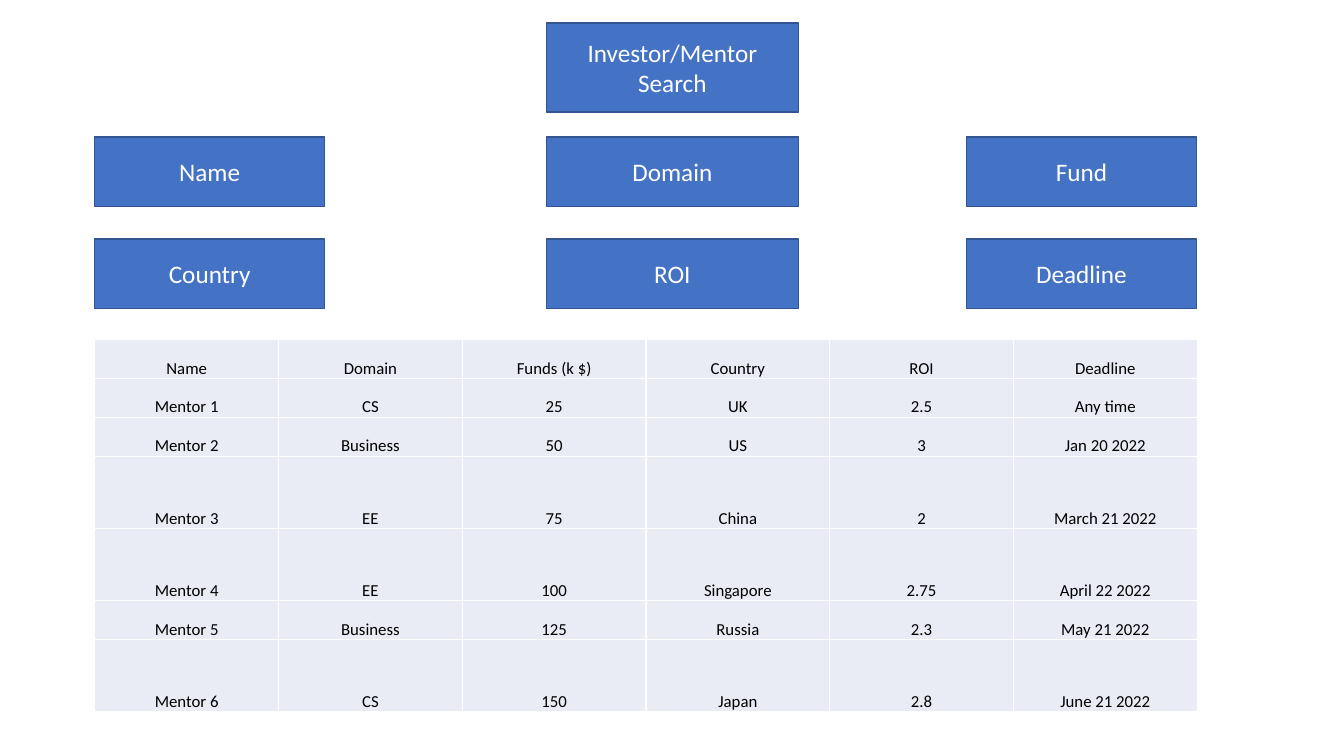
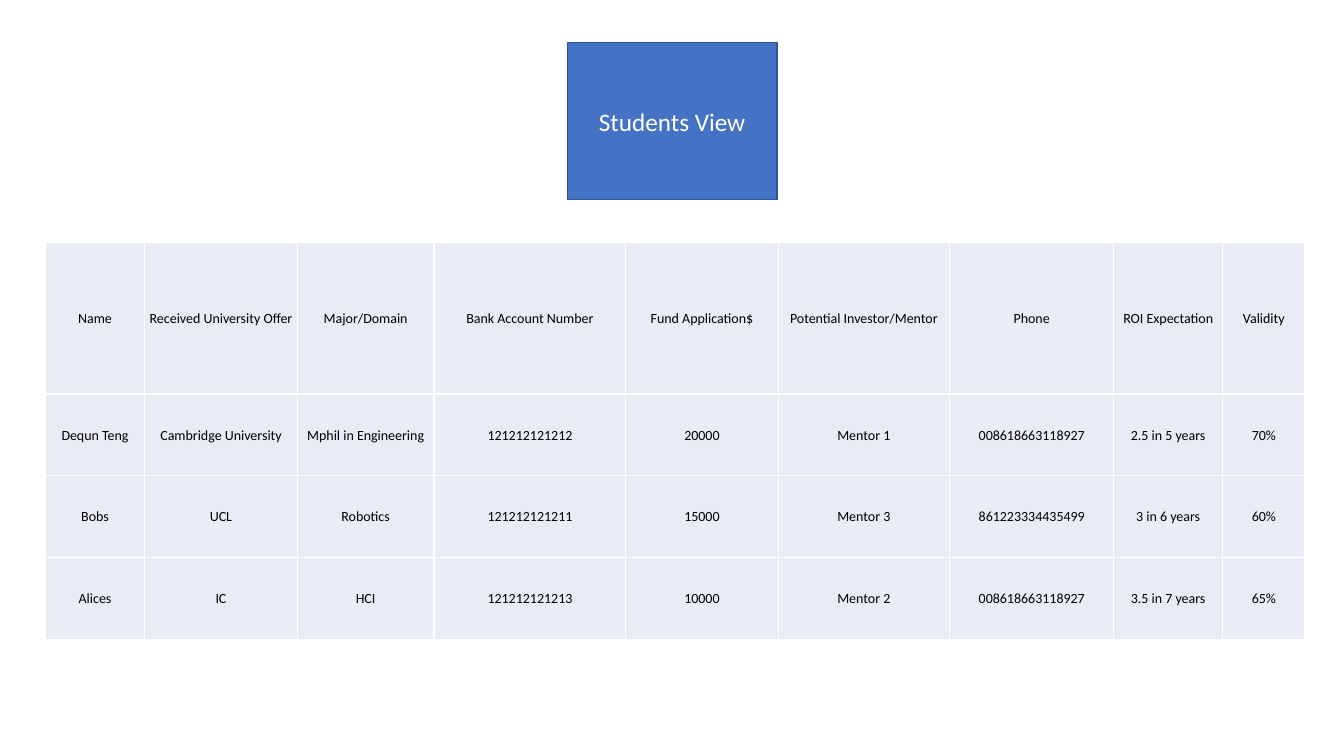
from dataclasses import dataclass
from itertools import product

from lxml import etree
from pptx import Presentation
from pptx import util as u
from pptx.dml.color import RGBColor
from pptx.enum import shapes, text
from pptx.oxml import ns

BLUE = RGBColor(0x44, 0x72, 0xC4)
NAVY = RGBColor(0x32, 0x54, 0x91)
PALE = RGBColor(0xE9, 0xEB, 0xF5)
WHITE = RGBColor(0xFF, 0xFF, 0xFF)
BLACK = RGBColor(0x00, 0x00, 0x00)
FONT = "Calibri"
MIDDLE = text.MSO_ANCHOR.MIDDLE
BOTTOM = text.MSO_ANCHOR.BOTTOM
TITLE_ONLY = 5


@dataclass
class Box:
    """A blue label; lengths in centimetres."""
    label: str
    left: float
    top: float
    width: float
    height: float


@dataclass
class Grid:
    """A pale table; lengths in centimetres, text size in points."""
    left: float
    top: float
    cols: list[float]
    rows: list[float]
    cells: list[list[str]]
    size: int
    anchor: text.MSO_ANCHOR


def write(frame, words: str, size: int, color: RGBColor) -> None:
    """Put centred words in a text frame."""
    frame.text = words
    for para in frame.paragraphs:
        para.alignment = text.PP_ALIGN.CENTER
        for run in para.runs:
            run.font.name = FONT
            run.font.size = u.Pt(size)
            run.font.color.rgb = color


def style(shape, box: Box) -> None:
    """Place a shape and give it the blue label look."""
    shape.left, shape.top = u.Cm(box.left), u.Cm(box.top)
    shape.width, shape.height = u.Cm(box.width), u.Cm(box.height)
    shape.fill.solid()
    shape.fill.fore_color.rgb = BLUE
    shape.line.color.rgb = NAVY
    shape.line.width = u.Pt(1)
    frame = shape.text_frame
    frame.word_wrap = True
    frame.auto_size = text.MSO_AUTO_SIZE.NONE
    frame.vertical_anchor = MIDDLE
    write(frame, box.label, 18, WHITE)


def add_page(deck, title: Box):
    """Add a slide whose title is a blue label."""
    slide = deck.slides.add_slide(deck.slide_layouts[TITLE_ONLY])
    style(slide.shapes.title, title)
    return slide


def add_box(slide, box: Box) -> None:
    """Draw one blue label."""
    shape = slide.shapes.add_shape(shapes.MSO_SHAPE.RECTANGLE, 0, 0, 0, 0)
    shape.shadow.inherit = False
    style(shape, box)


def add_edges(cell) -> None:
    """Give a cell thin white borders."""
    props = cell._tc.get_or_add_tcPr()
    for side in ("L", "R", "T", "B"):
        edge = etree.SubElement(props, ns.qn(f"a:ln{side}"), w=str(u.Pt(1)))
        fill = etree.SubElement(edge, ns.qn("a:solidFill"))
        etree.SubElement(fill, ns.qn("a:srgbClr"), val=str(WHITE))


def add_grid(slide, grid: Grid) -> None:
    """Draw a table."""
    table = slide.shapes.add_table(
        len(grid.rows), len(grid.cols), u.Cm(grid.left), u.Cm(grid.top),
        u.Cm(sum(grid.cols)), u.Cm(sum(grid.rows))).table
    table.first_row = table.horz_banding = False
    for col, width in zip(table.columns, grid.cols):
        col.width = u.Cm(width)
    for row, height, words in zip(table.rows, grid.rows, grid.cells):
        row.height = u.Cm(height)
        for cell, word in zip(row.cells, words):
            cell.margin_left = cell.margin_right = cell.margin_top = u.Cm(0.02)
            cell.margin_bottom = 0
            cell.vertical_anchor = grid.anchor
            add_edges(cell)
            cell.fill.solid()
            cell.fill.fore_color.rgb = PALE
            write(cell.text_frame, word, grid.size, BLACK)


def add_search(deck) -> None:
    """Build the mentor search slide."""
    slide = add_page(deck, Box("Investor/Mentor Search", 13.77, 0.58, 6.35, 2.24))
    labels = ["Name", "Domain", "Fund", "Country", "ROI", "Deadline"]
    spans = [(2.39, 5.79), (13.77, 6.35), (24.36, 5.79)]
    for label, (top, (left, width)) in zip(labels, product((3.45, 6.02), spans)):
        add_box(slide, Box(label, left, top, width, 1.75))
    low, high = 0.98, 1.82
    add_grid(slide, Grid(
        2.39, 8.56, [4.63] * 6, [low, low, low, high, high, low, high],
        [["Name", "Domain", "Funds (k $)", "Country", "ROI", "Deadline"],
         ["Mentor 1", "CS", "25", "UK", "2.5", "Any time"],
         ["Mentor 2", "Business", "50", "US", "3", "Jan 20 2022"],
         ["Mentor 3", "EE", "75", "China", "2", "March 21 2022"],
         ["Mentor 4", "EE", "100", "Singapore", "2.75", "April 22 2022"],
         ["Mentor 5", "Business", "125", "Russia", "2.3", "May 21 2022"],
         ["Mentor 6", "CS", "150", "Japan", "2.8", "June 21 2022"]],
        12, BOTTOM))


def add_students(deck) -> None:
    """Build the students slide."""
    slide = add_page(deck, Box("Students View", 14.3, 1.07, 5.28, 3.96))
    add_grid(slide, Grid(
        1.14, 6.12, [2.51, 3.84, 3.45, 4.83, 3.84, 4.32, 4.14, 2.74, 2.08],
        [3.81] + [2.06] * 3,
        [["Name", "Received University Offer", "Major/Domain",
          "Bank Account Number", "Fund Application$",
          "Potential Investor/Mentor", "Phone", "ROI Expectation", "Validity"],
         ["Dequn Teng", "Cambridge University", "Mphil in Engineering",
          "121212121212", "20000", "Mentor 1", "008618663118927",
          "2.5 in 5 years", "70%"],
         ["Bobs", "UCL", "Robotics", "121212121211", "15000", "Mentor 3",
          "861223334435499", "3 in 6 years", "60%"],
         ["Alices", "IC", "HCI", "121212121213", "10000", "Mentor 2",
          "008618663118927", "3.5 in 7 years", "65%"]],
        10, MIDDLE))


def main() -> None:
    """Build and save the deck."""
    deck = Presentation()
    deck.slide_width, deck.slide_height = u.Cm(33.87), u.Cm(19.05)
    add_search(deck)
    add_students(deck)
    deck.save("out.pptx")


main()
